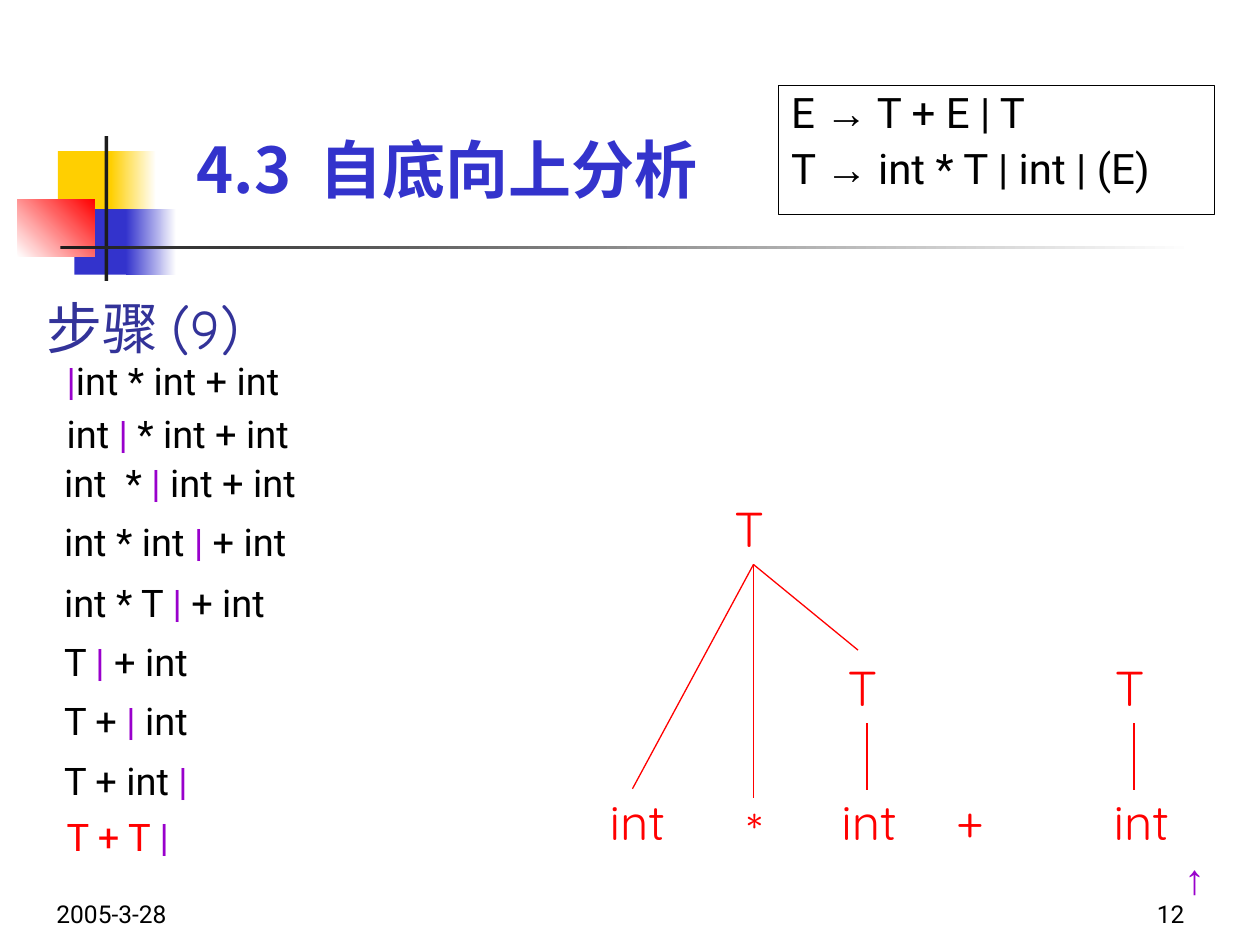
from lxml.etree import SubElement
from pptx import Presentation
from pptx.dml.color import RGBColor
from pptx.enum.shapes import MSO_CONNECTOR, MSO_SHAPE
from pptx.enum.text import MSO_ANCHOR as ANCHOR, MSO_AUTO_SIZE, PP_ALIGN as ALIGN
from pptx.oxml.ns import qn
from pptx.util import Inches, Pt

THEME = {
    "yellow": "FFCF01", "blue": "3333CC", "navy": "333399", "red": "FF0000",
    "purple": "9900CC", "dark": "1C1C1C", "black": "000000", "white": "FFFFFF",
    "body": "Roboto", "tree": "Quicksand", "cjk": "Noto Sans CJK SC",
    "heading": "Comic Neue", "symbol": "Arial",
    "title_pt": 36, "heading_pt": 32, "tree_pt": 28, "grammar_pt": 24,
    "step_pt": 21.7, "footer_pt": 14,
}

# Content
TITLE = "4.3  自底向上分析"
HEADING = "步骤 (9)"
GRAMMAR = ["E → T + E | T", "T → int * T | int | (E)"]
STEPS = [  # left, top, text with the marker bar
    (0.43, 2.86, "|int * int + int"),
    (0.43, 3.28, "int | * int + int"),
    (0.41, 3.67, "int  * | int + int"),
    (0.41, 4.14, "int * int | + int"),
    (0.41, 4.62, "int * T | + int"),
    (0.41, 5.09, "T | + int"),
    (0.41, 5.56, "T + | int"),
    (0.41, 6.03, "T + int |"),
    (0.43, 6.48, "T + T |"),
]
CURRENT_STEP = len(STEPS) - 1
NODES = [  # left, top, symbol
    (5.73, 3.91, "T"), (6.63, 5.17, "T"), (8.75, 5.17, "T"),
    (4.74, 6.23, "int"), (5.83, 6.3, "*"), (6.58, 6.23, "int"),
    (7.49, 6.22, "+"), (8.74, 6.23, "int"),
]
EDGES = [  # parent point, child points
    ((5.98, 4.48), [(5.02, 6.26), (5.98, 6.33), (6.81, 5.16)]),
    ((6.88, 5.74), [(6.88, 6.27)]),
    ((9, 5.74), [(9, 6.27)]),
]
FOOTERS = [(0.35, 2.73, "2005-3-28", ALIGN.LEFT), (7.42, 2.08, "12", ALIGN.RIGHT)]
DECOR = [  # box, colours (two make a gradient), angle
    ((0.46, 1.2, 0.48, 0.52), ["yellow"], 0),
    ((0.88, 1.2, 0.36, 0.52), ["yellow", "white"], 0),
    ((0.59, 1.66, 0.46, 0.52), ["blue"], 0),
    ((1, 1.66, 0.4, 0.52), ["blue", "white"], 0),
    ((0.14, 1.58, 0.61, 0.46), ["white", "red"], 45),
    ((0.83, 1.08, 0.03, 1.15), ["dark"], 0),
    ((0.48, 1.95, 9, 0.03), ["dark", "white"], 0),
]


def rgb(name):
    return RGBColor.from_string(THEME[name])


def inches(values):
    return [Inches(v) for v in values]


def style(font, face, size, color, bold=False):
    font.name, font.size, font.bold = THEME[face], Pt(THEME[size]), bold
    font.color.rgb = rgb(color)


def set_frame(tf, anchor):
    tf.word_wrap, tf.auto_size = True, MSO_AUTO_SIZE.NONE
    tf.vertical_anchor = anchor


def add_text(slide, box, text, face, size, color, anchor=ANCHOR.TOP, align=ALIGN.LEFT):
    tf = slide.shapes.add_textbox(*inches(box)).text_frame
    set_frame(tf, anchor)
    p = tf.paragraphs[0]
    p.alignment = align
    style(p.font, face, size, color)
    if text:
        p.add_run().text = text
    return p


def add_split_runs(p, text, mark):
    """Add text as runs, with each mark in its own run; return the mark runs."""
    marks = []
    for i, part in enumerate(text.split(mark)):
        if i:
            r = p.add_run()
            r.text = mark
            marks.append(r)
        if part:
            p.add_run().text = part
    return marks


def set_east_asian(r):
    SubElement(r.font._element, qn("a:ea")).set("typeface", THEME["cjk"])


def add_decor(slide, box, colors, angle):
    s = slide.shapes.add_shape(MSO_SHAPE.RECTANGLE, *inches(box))
    s.shadow.inherit = False
    s.line.fill.background()
    if len(colors) == 1:
        s.fill.solid()
        s.fill.fore_color.rgb = rgb(colors[0])
    else:
        s.fill.gradient()
        s.fill.gradient_angle = angle
        for stop, color in zip(s.fill.gradient_stops, colors):
            stop.color.rgb = rgb(color)


def add_edge(slide, start, end):
    c = slide.shapes.add_connector(MSO_CONNECTOR.STRAIGHT, *inches(start + end))
    c.line.color.rgb, c.line.width = rgb("red"), Pt(0.75)
    SubElement(c._element.spPr, qn("a:effectLst"))


def add_grammar(slide):
    s = slide.shapes.add_shape(MSO_SHAPE.RECTANGLE, *inches((6.18, 0.68, 3.46, 1.02)))
    s.shadow.inherit = False
    s.fill.background()
    s.line.color.rgb, s.line.width = rgb("black"), Pt(0.75)
    tf = s.text_frame
    set_frame(tf, ANCHOR.TOP)
    for i, rule in enumerate(GRAMMAR):
        p = tf.add_paragraph() if i else tf.paragraphs[0]
        p.alignment, p.line_spacing = ALIGN.LEFT, 0.9
        p.space_before = Pt(6 if i else 0)
        style(p.font, "body", "grammar_pt", "black")
        for r in add_split_runs(p, rule, "→"):
            r.font.name = THEME["symbol"]


def main():
    prs = Presentation()
    prs.slide_width, prs.slide_height = Inches(10), Inches(7.5)
    slide = prs.slides.add_slide(prs.slide_layouts[5])

    # Title and its ornament
    for box, colors, angle in DECOR:
        add_decor(slide, box, colors, angle)
    title = slide.shapes.title
    title.left, title.top, title.width, title.height = inches((1.46, 0.76, 7.46, 0.93))
    title.text_frame.text = TITLE
    set_frame(title.text_frame, ANCHOR.BOTTOM)
    p = title.text_frame.paragraphs[0]
    p.alignment = ALIGN.LEFT
    style(p.font, "cjk", "title_pt", "blue", bold=True)
    set_east_asian(p.runs[0])
    add_grammar(slide)

    # Parsing steps
    p = add_text(slide, (0.27, 2.1, 2.21, 1), HEADING, "heading", "heading_pt", "navy",
                 ANCHOR.MIDDLE)
    set_east_asian(p.runs[0])
    for i, (left, top, text) in enumerate(STEPS):
        color = "red" if i == CURRENT_STEP else "black"
        p = add_text(slide, (left, top, 3.25, 0.5), "", "body", "step_pt", color)
        p.line_spacing = 0.8
        for r in add_split_runs(p, text, "|"):
            r.font.color.rgb = rgb("purple")

    # Parse tree and input pointer
    for parent, children in EDGES:
        for child in children:
            add_edge(slide, parent, child)
    for left, top, symbol in NODES:
        width = 0.75 if symbol == "int" else 0.5
        add_text(slide, (left, top, width, 0.57), symbol, "tree", "tree_pt", "red")
    add_text(slide, (9.3, 6.72, 0.58, 0.5), "↑", "symbol", "grammar_pt", "purple")

    # Date and page number
    for left, width, text, align in FOOTERS:
        add_text(slide, (left, 6.92, width, 0.5), text, "body", "footer_pt", "black",
                 ANCHOR.BOTTOM, align)

    prs.save("out.pptx")


if __name__ == "__main__":
    main()
